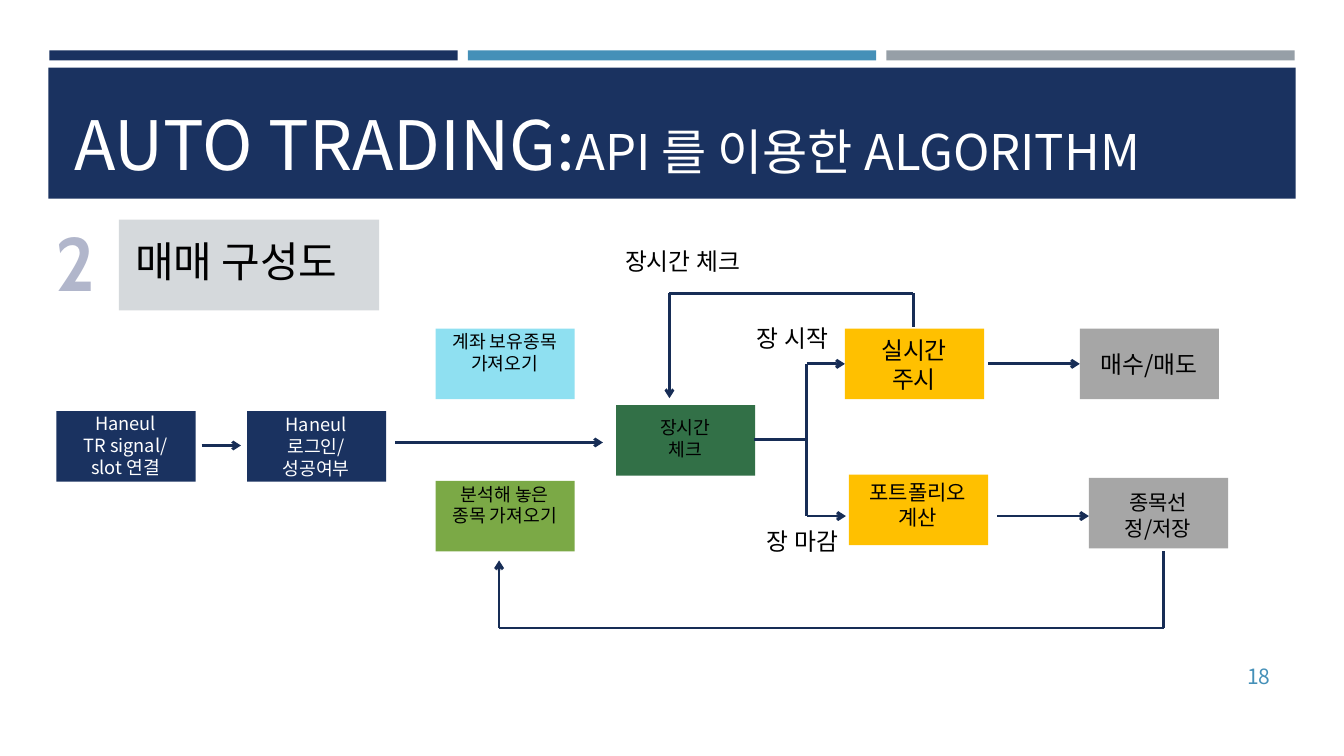
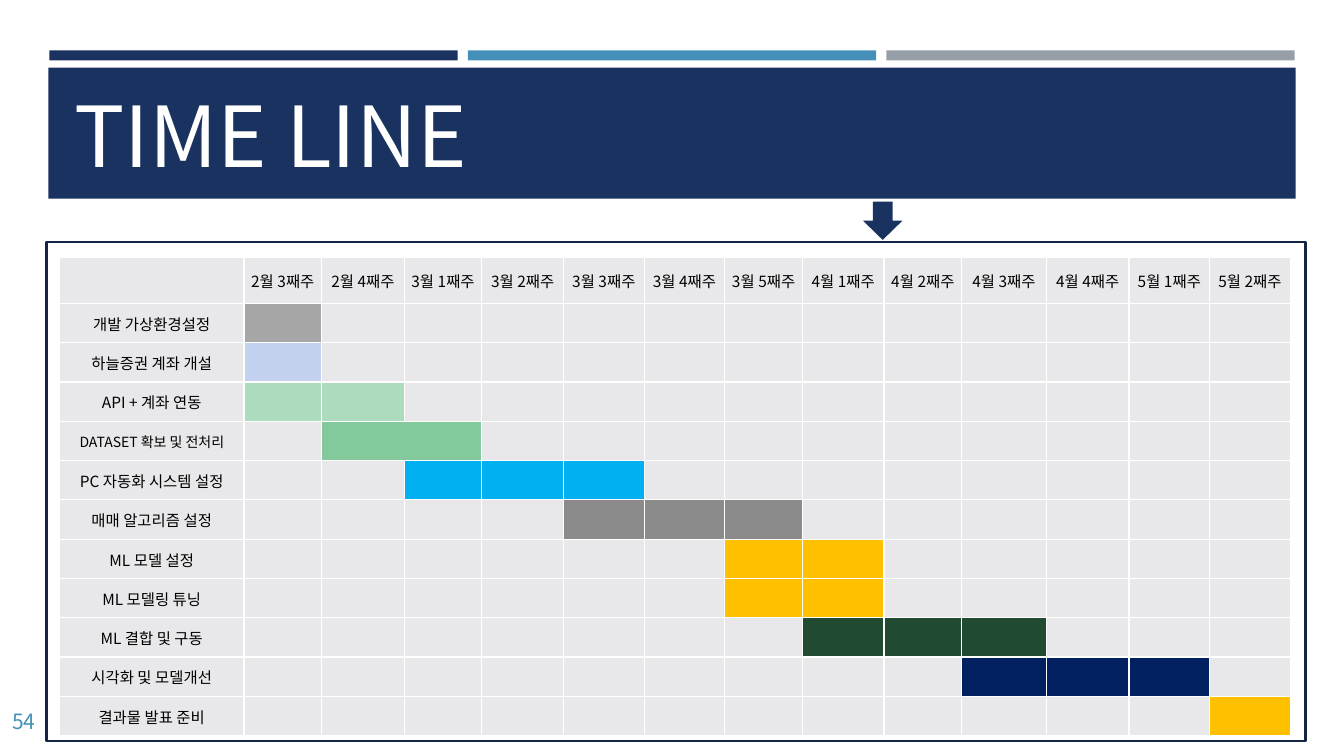
from dataclasses import dataclass
from itertools import pairwise

from lxml import etree
from pptx import Presentation
from pptx.dml.color import RGBColor
from pptx.enum.shapes import MSO_CONNECTOR, MSO_SHAPE
from pptx.enum.text import MSO_ANCHOR, PP_ALIGN
from pptx.oxml.ns import qn
from pptx.util import Emu, Pt

RECTANGLE = MSO_SHAPE.RECTANGLE
DOWN_ARROW = MSO_SHAPE.DOWN_ARROW
STRAIGHT = MSO_CONNECTOR.STRAIGHT
TOP, MIDDLE, BOTTOM = MSO_ANCHOR.TOP, MSO_ANCHOR.MIDDLE, MSO_ANCHOR.BOTTOM
LEFT, CENTER, RIGHT = PP_ALIGN.LEFT, PP_ALIGN.CENTER, PP_ALIGN.RIGHT

EMU_PER_PX = 9144
FONT = "Noto Sans CJK KR"
NUMBER_FONT = "Cabin"
NAVY, BLUE, GRAY = "1A3260", "4590B8", "969FA7"
WHITE, BLACK = "FFFFFF", "000000"
AMBER, SILVER = "FFC000", "A6A6A6"
LINE_COLOR, FRAME_COLOR = "172D56", "132547"
SECTION_FILL, SECTION_NUMBER = "D5D9DC", "B1B6CB"
CELL_FILL = "E8E8EA"


@dataclass(frozen=True)
class Area:
    left: int
    top: int
    width: int
    height: int

    def emu(self) -> list[Emu]:
        return [px(value) for value in (self.left, self.top, self.width, self.height)]


@dataclass(frozen=True)
class Step:
    left: int
    top: int
    fill: str
    lines: tuple[str, ...]
    text_top: int
    size: int = 13
    color: str = BLACK


@dataclass(frozen=True)
class Route:
    points: tuple[tuple[int, int], ...]


@dataclass(frozen=True)
class Label:
    left: int
    top: int
    text: str


@dataclass(frozen=True)
class Task:
    name: str
    first_week: int
    weeks: int
    fill: str
    size: int = 11
    joined: bool = False


STEPS = (
    Step(56, 408, NAVY, ("Haneul", "TR signal/", "slot 연결"), 1, color=WHITE),
    Step(245, 408, NAVY, ("Haneul", "로그인/", "성공여부"), 2, color=WHITE),
    Step(432, 326, "8FE0F1", ("계좌 보유종목", "가져오기"), 2),
    Step(432, 477, "7BA946", ("분석해 놓은", "종목 가져오기"), 2),
    Step(611, 402, "327047", ("장시간", "체크"), 11),
    Step(838, 326, AMBER, ("실시간 주시",), 7, 17),
    Step(842, 471, AMBER, ("포트폴리오 계산",), 5, 15),
    Step(1071, 326, SILVER, ("매수/매도",), 21, 17),
    Step(1080, 474, SILVER, ("종목선정/저장",), 12, 15),
)
ROUTES = (
    Route(((200, 442), (239, 442))),
    Route(((392, 439), (598, 439))),
    Route(((748, 436), (800, 436), (800, 361), (838, 361))),
    Route(((800, 436), (800, 512), (839, 512))),
    Route(((980, 361), (1071, 361))),
    Route(((989, 512), (1080, 512))),
    Route(((906, 324), (906, 291), (664, 291), (664, 395))),
    Route(((1154, 547), (1154, 623), (495, 623), (495, 556))),
)
LABELS = (
    Label(584, 240, "장시간 체크"),
    Label(693, 316, "장 시작"),
    Label(703, 518, "장 마감"),
)
WEEKS_PER_MONTH = {2: (3, 4), 3: (1, 2, 3, 4, 5), 4: (1, 2, 3, 4), 5: (1, 2)}
COLUMN_WIDTHS = (183, 77, 82, 77, 81, 80, 80, 77, 81, 77, 84, 82, 80, 80)
HEADER_HEIGHT = 46
ROW_HEIGHT = 39
TASKS = (
    Task("개발 가상환경설정", 1, 1, SILVER),
    Task("하늘증권 계좌 개설", 1, 1, "C2D1EE"),
    Task("API + 계좌 연동", 1, 2, "ADDBBD"),
    Task("DATASET 확보 및 전처리", 2, 2, "84C99C", size=10, joined=True),
    Task("PC 자동화 시스템 설정", 3, 3, "00B0F0"),
    Task("매매 알고리즘 설정", 5, 3, "8B8B8B"),
    Task("ML 모델 설정", 7, 2, AMBER),
    Task("ML 모델링 튜닝", 7, 2, AMBER),
    Task("ML 결합 및 구동", 8, 3, "214B30"),
    Task("시각화 및 모델개선", 10, 3, "002060"),
    Task("결과물 발표 준비", 13, 1, AMBER),
)


def px(value: int) -> Emu:
    return Emu(value * EMU_PER_PX)


def rgb(value: str) -> RGBColor:
    return RGBColor.from_string(value)


def style_paragraph(paragraph, size: float, color: str, align=CENTER, font_name: str = FONT) -> None:
    paragraph.alignment = align
    font = paragraph.font
    font.size = Pt(size)
    font.name = font_name
    font.color.rgb = rgb(color)
    defaults = paragraph._p.pPr.find(qn("a:defRPr"))
    etree.SubElement(defaults, qn("a:ea")).set("typeface", font_name)


def write_text(shape, lines: tuple[str, ...], size: float, color: str, align=CENTER,
               anchor=TOP, insets: tuple[int, int, int, int] = (10, 5, 10, 5),
               font_name: str = FONT) -> None:
    frame = shape.text_frame
    frame.word_wrap = True
    frame.vertical_anchor = anchor
    frame.margin_left, frame.margin_top, frame.margin_right, frame.margin_bottom = map(px, insets)
    for index, line in enumerate(lines):
        paragraph = frame.add_paragraph() if index else frame.paragraphs[0]
        paragraph.add_run().text = line
        style_paragraph(paragraph, size, color, align, font_name)


def add_block(slide, area: Area, fill: str, kind=RECTANGLE):
    shape = slide.shapes.add_shape(kind, *area.emu())
    shape.shadow.inherit = False
    shape.fill.solid()
    shape.fill.fore_color.rgb = rgb(fill)
    shape.line.fill.background()
    return shape


def add_text(slide, area: Area, text: str, size: float, color: str, **options):
    box = slide.shapes.add_textbox(*area.emu())
    write_text(box, (text,), size, color, **options)
    return box


def add_base(presentation, title_parts: tuple[tuple[str, float], ...], number: str, number_area: Area):
    slide = presentation.slides.add_slide(presentation.slide_layouts[6])
    for index, color in enumerate((NAVY, BLUE, GRAY)):
        add_block(slide, Area(49 + index * 415, 50, 405, 10), color)
    band = add_block(slide, Area(48, 67, 1237, 130), NAVY)
    (text, size), *others = title_parts
    write_text(band, (text,), size, WHITE, align=LEFT, anchor=BOTTOM, insets=(26, 0, 10, 14))
    for text, size in others:
        run = band.text_frame.paragraphs[0].add_run()
        run.text = text
        run.font.size = Pt(size)
    add_text(slide, number_area, number, 15, BLUE, align=RIGHT, anchor=MIDDLE, insets=(0, 5, 10, 5))
    return slide


def add_step(slide, step: Step) -> None:
    shape = add_block(slide, Area(step.left, step.top, 138, 70), step.fill)
    write_text(shape, step.lines, step.size, step.color, insets=(14, step.text_top, 15, 0))


def add_route(slide, route: Route) -> None:
    for start, end in pairwise(route.points):
        connector = slide.shapes.add_connector(STRAIGHT, *map(px, start + end))
        connector.line.color.rgb = rgb(LINE_COLOR)
        connector.line.width = Pt(2)
        properties = connector._element.spPr
        if end == route.points[-1]:
            outline = properties.find(qn("a:ln"))
            etree.SubElement(outline, qn("a:tailEnd")).set("type", "arrow")
        etree.SubElement(properties, qn("a:effectLst"))


def set_borders(cell, hidden: tuple[str, ...]) -> None:
    properties = cell._tc.get_or_add_tcPr()
    for position, side in enumerate(("lnL", "lnR", "lnT", "lnB")):
        border = etree.Element(qn(f"a:{side}"), w=str(Pt(1)))
        if side in hidden:
            etree.SubElement(border, qn("a:noFill"))
        else:
            fill = etree.SubElement(border, qn("a:solidFill"))
            etree.SubElement(fill, qn("a:srgbClr")).set("val", WHITE)
        properties.insert(position, border)


def fill_cell(cell, text: str, fill: str, size: int = 11, hidden: tuple[str, ...] = ()) -> None:
    cell.margin_left = cell.margin_top = cell.margin_right = px(1)
    cell.margin_bottom = 0
    cell.vertical_anchor = MIDDLE
    cell.fill.solid()
    cell.fill.fore_color.rgb = rgb(fill)
    set_borders(cell, hidden)
    paragraph = cell.text_frame.paragraphs[0]
    if text:
        paragraph.add_run().text = text
    style_paragraph(paragraph, size, BLACK)


def add_schedule(slide) -> None:
    row_heights = (HEADER_HEIGHT, *(ROW_HEIGHT for _ in TASKS))
    area = Area(59, 255, sum(COLUMN_WIDTHS), sum(row_heights))
    table = slide.shapes.add_table(len(row_heights), len(COLUMN_WIDTHS), *area.emu()).table
    table.first_row = table.horz_banding = False
    for column, width in zip(table.columns, COLUMN_WIDTHS):
        column.width = px(width)
    for row, height in zip(table.rows, row_heights):
        row.height = px(height)
    weeks = [f"{month}월 {week}째주" for month, numbers in WEEKS_PER_MONTH.items() for week in numbers]
    for column, text in enumerate(["", *weeks]):
        fill_cell(table.cell(0, column), text, CELL_FILL)
    for row, task in enumerate(TASKS, 1):
        fill_cell(table.cell(row, 0), task.name, CELL_FILL, task.size)
        last_week = task.first_week + task.weeks - 1
        for week in range(1, len(COLUMN_WIDTHS)):
            active = task.first_week <= week <= last_week
            hidden = ()
            if active and task.joined:
                hidden = (("lnL",) if week > task.first_week else ()) + (("lnR",) if week < last_week else ())
            fill_cell(table.cell(row, week), "", task.fill if active else CELL_FILL, hidden=hidden)


def build_flow_slide(presentation) -> None:
    title = (("AUTO TRADING:", 48.6), ("API 를 이용한 ALGORITHM", 35.1))
    slide = add_base(presentation, title, "18", Area(1155, 651, 115, 40))
    for step in STEPS:
        add_step(slide, step)
    for route in ROUTES:
        add_route(slide, route)
    section = add_block(slide, Area(118, 218, 258, 90), SECTION_FILL)
    write_text(section, ("매매 구성도",), 30, BLACK, align=LEFT, insets=(16, 16, 10, 5))
    for label in LABELS:
        add_text(slide, Area(label.left, label.top, 186, 39), label.text, 17, BLACK)
    number = add_text(slide, Area(44, 209, 62, 101), "2", 54, SECTION_NUMBER, font_name=NUMBER_FONT)
    number.text_frame.word_wrap = False
    number.text_frame.paragraphs[0].font.bold = True


def build_timeline_slide(presentation) -> None:
    slide = add_base(presentation, (("TIME LINE", 60),), "54", Area(0, 695, 45, 40))
    add_schedule(slide)
    frame = add_block(slide, Area(46, 240, 1249, 495), WHITE)
    frame.fill.background()
    frame.line.color.rgb = rgb(FRAME_COLOR)
    frame.line.width = Pt(1.75)
    add_block(slide, Area(856, 200, 39, 38), NAVY, DOWN_ARROW)


def main() -> None:
    presentation = Presentation()
    presentation.slide_width, presentation.slide_height = px(1333), px(750)
    build_flow_slide(presentation)
    build_timeline_slide(presentation)
    presentation.save("out.pptx")


if __name__ == "__main__":
    main()
